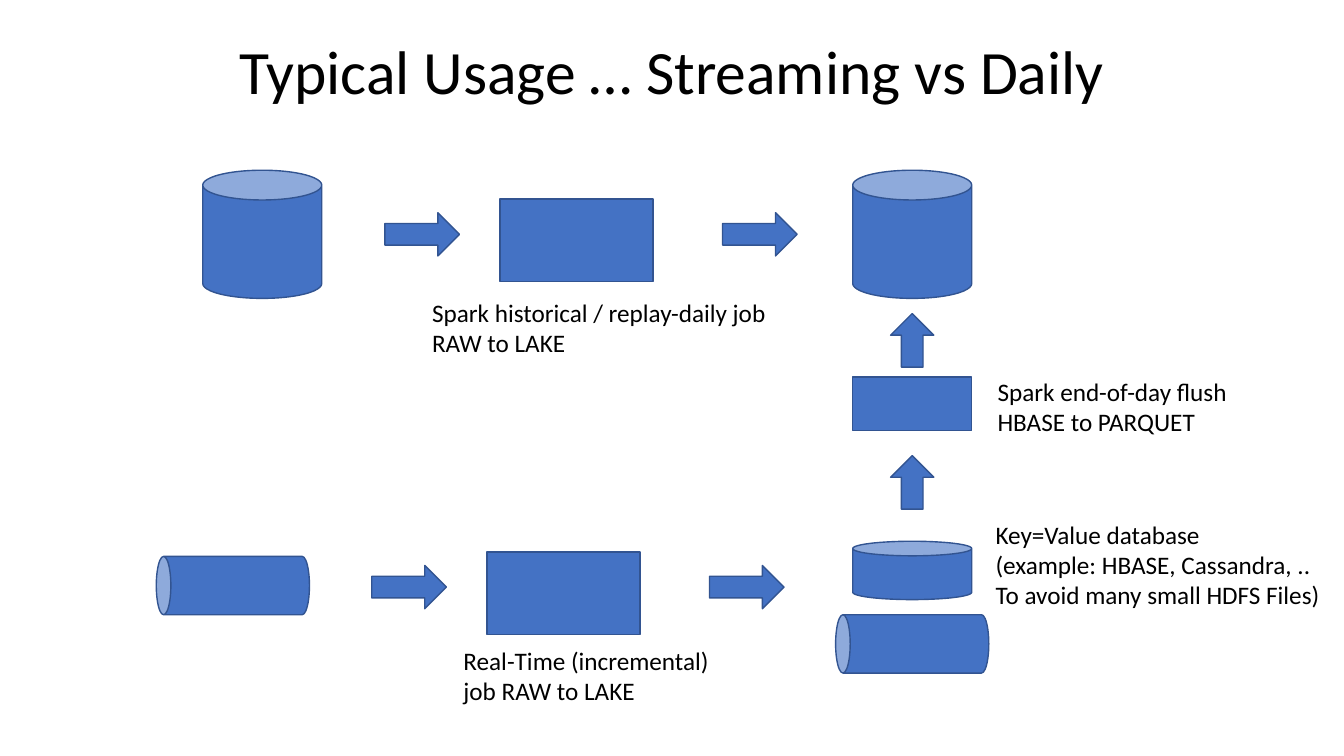
import pptx
import pptx.util
import pptx.dml.color
import pptx.enum.shapes
import pptx.enum.text

Cm, Pt = pptx.util.Cm, pptx.util.Pt
SHAPE = pptx.enum.shapes.MSO_SHAPE
TEXT = pptx.enum.text

BLUE = pptx.dml.color.RGBColor(0x44, 0x72, 0xC4)
OUTLINE = pptx.dml.color.RGBColor(0x32, 0x54, 0x91)
BLACK = pptx.dml.color.RGBColor(0, 0, 0)

TITLE_FONT = {"name": "Calibri", "size": Pt(44)}
LABEL_FONT = {"name": "Calibri", "size": Pt(18)}
TITLE_PARAGRAPH = {"alignment": TEXT.PP_ALIGN.CENTER, "line_spacing": 0.9}
LABEL_FRAME = {"word_wrap": False, "auto_size": TEXT.MSO_AUTO_SIZE.SHAPE_TO_FIT_TEXT}

# Sizes as seen on the slide, in cm
STORE = (3.0, 3.23)
DATABASE = (3.0, 1.47)
QUEUE = (3.86, 1.47)
JOB = (3.86, 2.08)
FLUSH = (3.0, 1.35)
RIGHT = (1.88, 1.09)
UP = (1.09, 1.35)


def set_attrs(obj, values):
    for name, value in values.items():
        setattr(obj, name, value)


def style_font(p, values):
    set_attrs(p.font, values)
    p.font.color.rgb = BLACK


def add_node(s, kind, x, y, size, turned=False):
    """Place a shape by its visible box; a turned one is rotated by 270 degrees."""
    w, h = size
    if turned:
        x, y, w, h = x + (w - h) / 2, y + (h - w) / 2, h, w
    sp = s.shapes.add_shape(kind, Cm(x), Cm(y), Cm(w), Cm(h))
    sp.rotation = 270 if turned else 0
    sp.shadow.inherit = False
    sp.fill.solid()
    sp.fill.fore_color.rgb = BLUE
    sp.line.color.rgb = OUTLINE
    sp.line.width = Pt(1)


def add_label(s, x, y, w, h, paragraphs):
    tf = s.shapes.add_textbox(Cm(x), Cm(y), Cm(w), Cm(h)).text_frame
    set_attrs(tf, LABEL_FRAME)
    for i, text in enumerate(paragraphs):
        p = tf.add_paragraph() if i else tf.paragraphs[0]
        p.text = text
        style_font(p, LABEL_FONT)


def add_title(s, x, y, w, h):
    title = s.shapes.title
    set_attrs(title, {"left": Cm(x), "top": Cm(y), "width": Cm(w), "height": Cm(h)})
    tf = title.text_frame
    tf.text = "Typical Usage … Streaming vs Daily"
    tf.vertical_anchor = TEXT.MSO_ANCHOR.MIDDLE
    p = tf.paragraphs[0]
    set_attrs(p, TITLE_PARAGRAPH)
    style_font(p, TITLE_FONT)


def add_job_row(s, x, y):
    """Arrow into the job, the job, arrow out of it."""
    add_node(s, SHAPE.RIGHT_ARROW, x, y, RIGHT)
    add_node(s, SHAPE.RECTANGLE, x + 2.9, y - 0.34, JOB)
    add_node(s, SHAPE.RIGHT_ARROW, x + 8.51, y, RIGHT)


def add_daily_row(s, x, y):
    add_node(s, SHAPE.CAN, x, y, STORE)
    add_job_row(s, x + 4.59, y + 1.07)
    add_label(s, x + 5.53, y + 3.08, 9.17, 1.8,
              ["Spark historical / replay-daily job", "RAW to LAKE"])


def add_streaming_row(s, x, y):
    add_node(s, SHAPE.CAN, x, y, QUEUE, turned=True)
    add_job_row(s, x + 5.43, y + 0.23)
    add_label(s, x + 7.49, y + 2.11, 6.76, 1.8,
              ["Real-Time (incremental)\vjob RAW to LAKE"])


def add_lake_column(s, x, y, w):
    """Stack from the lake down to the queue, centred in the column."""
    stack = [
        (SHAPE.CAN, 0, STORE, False),
        (SHAPE.RIGHT_ARROW, 3.61, UP, True),
        (SHAPE.RECTANGLE, 5.21, FLUSH, False),
        (SHAPE.RIGHT_ARROW, 7.19, UP, True),
        (SHAPE.CAN, 9.35, DATABASE, False),
        (SHAPE.CAN, 11.2, QUEUE, True),
    ]
    for kind, dy, size, turned in stack:
        add_node(s, kind, x + (w - size[0]) / 2, y + dy, size, turned)
    add_label(s, x + w + 0.4, y + 5.06, 6.38, 1.8,
              ["Spark end-of-day flush\vHBASE to PARQUET"])
    add_label(s, x + w + 0.35, y + 8.66, 8.76, 2.57,
              ["Key=Value database", "(example: HBASE, Cassandra, ..",
               "To avoid many small HDFS Files)"])


def main():
    prs = pptx.Presentation()
    prs.slide_width, prs.slide_height = Cm(33.87), Cm(19.05)
    s = prs.slides.add_slide(prs.slide_layouts[5])
    add_title(s, 2.33, 0.03, 29.21, 3.68)
    add_daily_row(s, 5.11, 4.29)
    add_streaming_row(s, 3.94, 14.02)
    add_lake_column(s, 21.49, 4.29, 3.0)
    prs.save("out.pptx")


if __name__ == "__main__":
    main()
